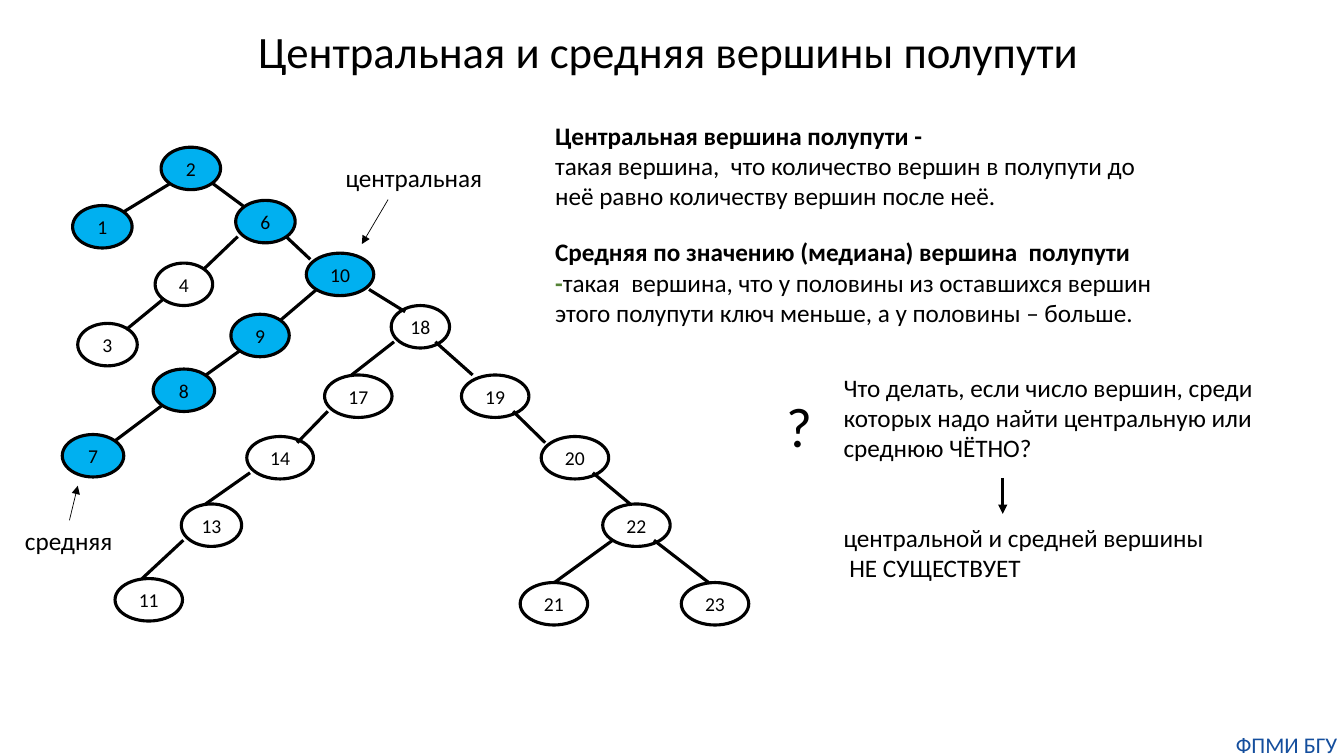
from dataclasses import dataclass

from lxml.etree import SubElement
from pptx import Presentation
from pptx.dml.color import RGBColor
from pptx.enum.shapes import MSO_CONNECTOR, MSO_SHAPE
from pptx.enum.text import MSO_ANCHOR, PP_ALIGN
from pptx.oxml.ns import qn
from pptx.slide import Slide
from pptx.text.text import TextFrame, _Run
from pptx.util import Cm, Pt

FONT = "Calibri"
BLACK, GREEN, NAVY, SKY = "000000", "548235", "144E9D", "00B0F0"
NODE_HEIGHT = 1.07
CORNER = 0.854  # share of the height where an edge leaves a vertex


@dataclass(frozen=True)
class Node:
    key: int
    left: float
    top: float
    width: float = 1.7


@dataclass(frozen=True)
class Edge:
    parent: int
    child: int
    start_x: float
    end_x: float
    meets_top: bool = False


@dataclass(frozen=True)
class Arrow:
    start: tuple[float, float]
    end: tuple[float, float]
    weight: float = 0.5


@dataclass(frozen=True)
class Piece:
    text: str
    bold: bool = False
    color: str = BLACK


@dataclass(frozen=True)
class Note:
    left: float
    top: float
    width: float
    height: float
    paragraphs: tuple[tuple[Piece, ...], ...]
    size: int = 18
    wrap: bool = True


SEMIPATH = {1, 2, 6, 7, 8, 9, 10}

NODES = [
    Node(2, 4.06, 3.71, 1.5), Node(1, 1.83, 5.18, 1.5), Node(6, 5.94, 5.05, 1.5),
    Node(4, 3.91, 6.63, 1.45), Node(3, 1.96, 8.15, 1.5), Node(10, 7.72, 6.38),
    Node(9, 5.82, 7.92, 1.47), Node(8, 3.86, 9.3, 1.55), Node(7, 1.57, 10.95, 1.55),
    Node(18, 9.86, 7.7, 1.47), Node(17, 8.18, 9.45), Node(14, 6.22, 11, 1.68),
    Node(13, 4.57, 12.7, 1.52), Node(11, 2.9, 14.58), Node(19, 11.63, 9.45),
    Node(20, 13.64, 11), Node(22, 15.19, 12.7), Node(21, 13.11, 14.68),
    Node(23, 17.17, 14.68),
]

EDGES = [
    Edge(2, 1, 4.29, 3.12), Edge(2, 6, 5.36, 6.15),
    Edge(6, 4, 5.99, 5.13), Edge(6, 10, 7.21, 7.82),
    Edge(4, 3, 4.11, 3.18), Edge(10, 9, 7.98, 7.06),
    Edge(9, 8, 6.05, 5.18), Edge(8, 7, 4.09, 2.9),
    Edge(10, 18, 9.3, 10.21), Edge(18, 17, 9.93, 8.86, True),
    Edge(17, 14, 8.26, 7.49), Edge(14, 13, 6.3, 5.18, True),
    Edge(13, 11, 4.62, 3.58, True), Edge(18, 19, 10.97, 11.91, True),
    Edge(19, 20, 12.93, 13.74), Edge(20, 22, 14.94, 15.88, True),
    Edge(22, 21, 15.44, 13.97, True), Edge(22, 23, 16.48, 17.86, True),
]

ARROWS = [
    Arrow((25.27, 12.04), (25.27, 12.95), 2.25),
    Arrow((9.78, 5.03), (9.12, 6.15)),
    Arrow((1.75, 13.11), (1.96, 12.24)),
]

NOTES = [
    Note(13.74, 2.9, 15.57, 2.57, (
        (Piece("Центральная вершина полупути -", bold=True),),
        (Piece("такая вершина,  что количество вершин в полупути до "
               "неё равно количеству вершин после неё."),),
    )),
    Note(13.74, 5.84, 16.1, 2.57, ((
        Piece("Средняя по значению (медиана) вершина  полупути ", bold=True),
        Piece("-", bold=True, color=GREEN),
        Piece("такая  вершина, что у половины из оставшихся вершин "
              "этого полупути ключ меньше, а у половины – больше."),
    ),)),
    Note(21.01, 9.25, 11.51, 3.33, ((
        Piece("Что делать, если число вершин, среди которых надо найти "
              "центральную или среднюю ЧЁТНО?"),
    ),)),
    Note(19.56, 9.73, 1.17, 1.96, ((Piece("?"),),), size=40, wrap=False),
    Note(21.01, 13.03, 9.98, 1.8, ((
        Piece("центральной и средней вершины\v НЕ СУЩЕСТВУЕТ"),
    ),)),
    Note(8.46, 3.96, 4.29, 1.02, ((Piece("центральная"),),)),
    Note(0.38, 13.11, 2.74, 1.02, ((Piece("средняя"),),), wrap=False),
]


def rgb(color: str) -> RGBColor:
    return RGBColor.from_string(color)


def format_run(run: _Run, size: int, color: str = BLACK, bold: bool = False) -> None:
    run.font.name = FONT
    run.font.size = Pt(size)
    run.font.bold = bold
    run.font.color.rgb = rgb(color)


def draw_line(slide: Slide, line: Arrow, arrowhead: bool) -> None:
    connector = slide.shapes.add_connector(
        MSO_CONNECTOR.STRAIGHT, *map(Cm, line.start + line.end))
    connector.line.color.rgb = rgb(BLACK)
    connector.line.width = Pt(line.weight)
    properties = connector._element.spPr
    if arrowhead:
        SubElement(properties.find(qn("a:ln")), qn("a:tailEnd"), type="triangle")
    SubElement(properties, qn("a:effectLst"))


def draw_node(slide: Slide, node: Node) -> None:
    shape = slide.shapes.add_shape(
        MSO_SHAPE.OVAL, Cm(node.left), Cm(node.top), Cm(node.width), Cm(NODE_HEIGHT))
    shape.shadow.inherit = False
    shape.line.color.rgb = rgb(BLACK)
    shape.line.width = Pt(2.25)
    if node.key in SEMIPATH:
        shape.fill.solid()
        shape.fill.fore_color.rgb = rgb(SKY)
    else:
        shape.fill.background()
    frame = shape.text_frame
    frame.text = str(node.key)
    frame.word_wrap = False
    frame.vertical_anchor = MSO_ANCHOR.MIDDLE
    frame.paragraphs[0].alignment = PP_ALIGN.CENTER
    format_run(frame.paragraphs[0].runs[0], 14)


def draw_edge(slide: Slide, edge: Edge, tops: dict[int, float]) -> None:
    start_y = tops[edge.parent] + CORNER * NODE_HEIGHT
    end_y = tops[edge.child] + (0 if edge.meets_top else (1 - CORNER) * NODE_HEIGHT)
    draw_line(slide, Arrow((edge.start_x, start_y), (edge.end_x, end_y), 2.25), False)


def add_text_box(slide: Slide, left: float, top: float, width: float,
                 height: float, wrap: bool = True) -> TextFrame:
    frame = slide.shapes.add_textbox(Cm(left), Cm(top), Cm(width), Cm(height)).text_frame
    frame.word_wrap = wrap
    return frame


def draw_note(slide: Slide, note: Note) -> None:
    frame = add_text_box(slide, note.left, note.top, note.width, note.height, note.wrap)
    for index, pieces in enumerate(note.paragraphs):
        paragraph = frame.add_paragraph() if index else frame.paragraphs[0]
        paragraph.text = pieces[0].text
        for piece in pieces[1:]:
            paragraph.add_run().text = piece.text
        # A line break splits the single piece of a paragraph into several runs
        for number, run in enumerate(paragraph.runs):
            piece = pieces[min(number, len(pieces) - 1)]
            format_run(run, note.size, piece.color, piece.bold)


presentation = Presentation()
presentation.slide_width, presentation.slide_height = Cm(33.87), Cm(19.05)
slide = presentation.slides.add_slide(presentation.slide_layouts[5])

# Title
title = slide.shapes.title
title.left, title.top, title.width, title.height = map(Cm, (6.25, 0.48, 21.39, 1.63))
title.text_frame.text = "Центральная и средняя вершины полупути"
title.text_frame.word_wrap = False
title.text_frame.vertical_anchor = MSO_ANCHOR.TOP
title.text_frame.paragraphs[0].alignment = PP_ALIGN.LEFT
format_run(title.text_frame.paragraphs[0].runs[0], 32)

# Definitions, question and labels
for note in NOTES:
    draw_note(slide, note)

# Search tree
for node in NODES:
    draw_node(slide, node)
node_tops = {node.key: node.top for node in NODES}
for edge in EDGES:
    draw_edge(slide, edge, node_tops)
for arrow in ARROWS:
    draw_line(slide, arrow, True)

# Footer
footer = add_text_box(slide, 30.99, 18.42, 2.87, 0.69)
footer.margin_left = footer.margin_right = footer.margin_top = footer.margin_bottom = 0
footer.text = "ФПМИ БГУ"
footer.paragraphs[0].alignment = PP_ALIGN.CENTER
format_run(footer.paragraphs[0].runs[0], 16, NAVY)

presentation.save("out.pptx")
